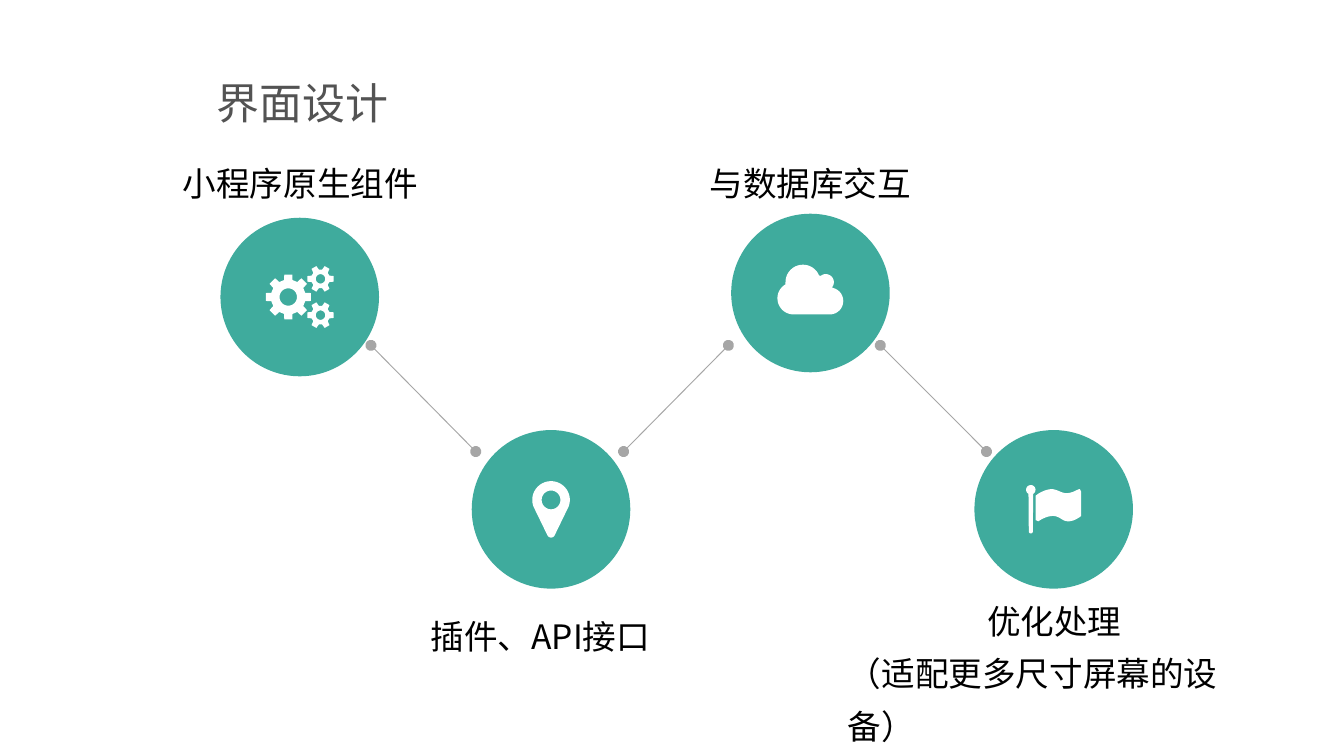
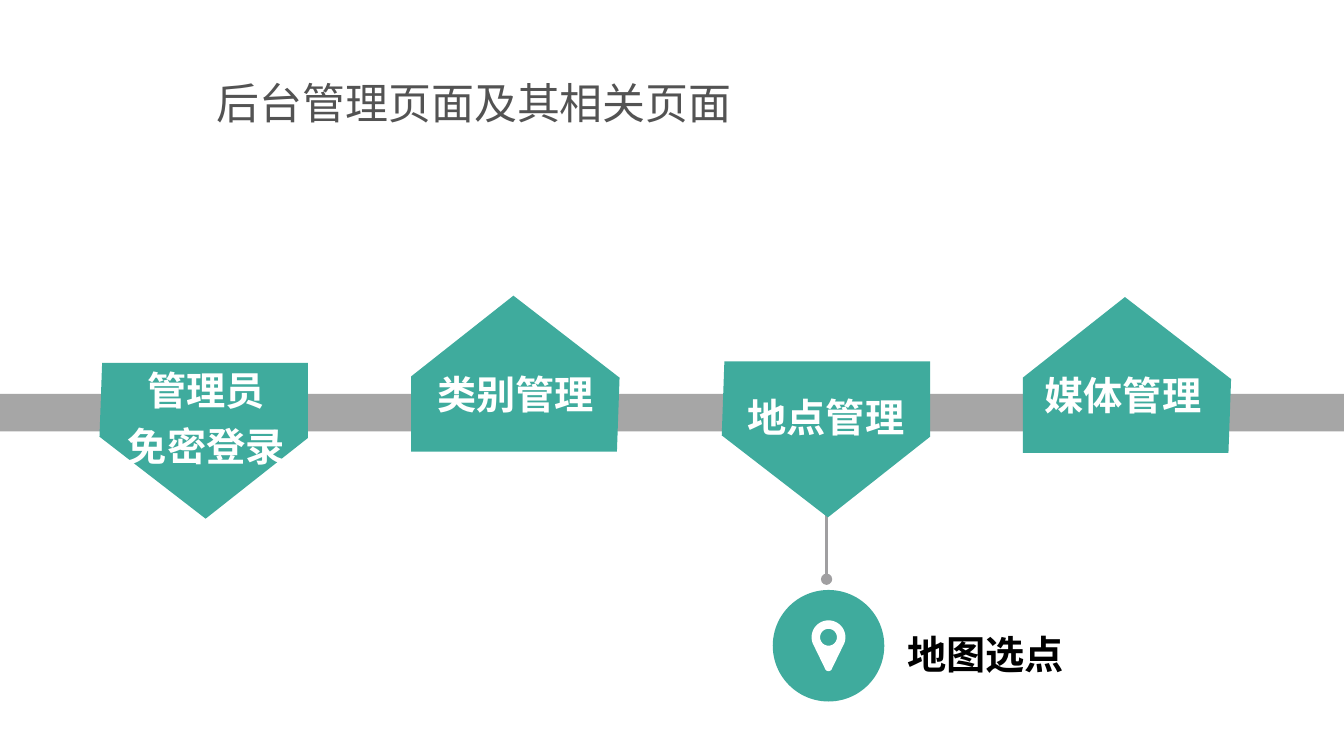
"""Builds two slides: interface design steps and admin page overview."""
import math
from dataclasses import dataclass

import lxml.etree
import pptx
import pptx.dml.color
import pptx.enum.shapes
import pptx.enum.text
import pptx.oxml.ns
import pptx.util

EMU_PER_PX = 9144
SHAPE = pptx.enum.shapes.MSO_SHAPE
ALIGN = pptx.enum.text.PP_ALIGN
ANCHOR = pptx.enum.text.MSO_ANCHOR


@dataclass(frozen=True)
class Theme:
    accent: str = "3FAB9D"
    white: str = "FFFFFF"
    black: str = "000000"
    title: str = "535353"
    grey: str = "A6A6A6"
    stem: str = "A09FA1"
    font: str = "Noto Sans CJK SC"
    label_font: str = "Arial"
    title_size: int = 23
    label_size: int = 21
    caption_size: int = 18


def emu(px):
    return round(px * EMU_PER_PX)


def rgb(color):
    return pptx.dml.color.RGBColor.from_string(color)


def polar(cx, cy, radius, degrees):
    angle = math.radians(degrees)
    return cx + radius * math.cos(angle), cy + radius * math.sin(angle)


def arc(cx, cy, radius, start, end, steps=24):
    return [polar(cx, cy, radius, start + (end - start) * i / steps) for i in range(steps + 1)]


def curve(start, *segments, steps=8):
    points = [start]
    for first, second, end in segments:
        corners = (points[-1], first, second, end)
        for i in range(1, steps + 1):
            t = i / steps
            weights = ((1 - t) ** 3, 3 * t * (1 - t) ** 2, 3 * t * t * (1 - t), t ** 3)
            points.append(tuple(sum(w * c[axis] for w, c in zip(weights, corners)) for axis in (0, 1)))
    return points


def gear(cx, cy, outer, root, hole, teeth, tip, foot):
    profile = ((root, -foot), (outer, -tip), (outer, tip), (root, foot))
    outline = [polar(cx, cy, radius, 360 * tooth / teeth + turn)
               for tooth in range(teeth) for radius, turn in profile]
    return [outline, arc(cx, cy, hole, 360, 0)]


GEARS = ((51, 47), gear(17, 23.5, 17, 13, 6.5, 8, 10, 14)
         + gear(41, 10, 10, 7, 3.5, 6, 12, 20)
         + gear(41, 37, 10, 7, 3.5, 6, 12, 20))
PIN = ((28, 42), [arc(14, 14, 14, 160, 380) + arc(14, 39, 3, 20, 160),
                  arc(14, 14, 7, 360, 0)])
CLOUD = ((49, 42), [arc(12, 25, 12, 90, 240) + arc(19, 13, 13, 180, 337)
                    + arc(36, 13, 6, 230, 400) + arc(39, 27, 10, 285, 450)])
FLAG = ((41, 36), [
    arc(3.5, 3.5, 3.5, 120, 420) + arc(3.5, 34.5, 1.5, 0, 180),
    curve((7, 8), ((9, 6), (15, 3), (19, 3)), ((23, 3), (26, 6), (30, 6)),
          ((35, 6), (38, 3), (40, 3))) + [(41, 5)]
    + curve((41, 23), ((37, 26), (34, 27), (31, 27)), ((27, 27), (25, 23), (20, 23)),
            ((16, 23), (12, 25), (9, 27))) + [(7, 26)],
])
PENTAGON = [(2, 0), (155, 0), (155, 56), (79, 116), (0, 55)]


class Page:
    """Draws styled elements on the current slide."""

    def __init__(self, deck, theme):
        self.deck = deck
        self.theme = theme
        self.slide = None

    def start(self, title, width):
        self.slide = self.deck.slides.add_slide(self.deck.slide_layouts[6])
        theme = self.theme
        self.text((154, 53, width, 46), [title], theme.title_size, theme.title,
                  align=ALIGN.LEFT, spacing=1.0, wrap=False, insets=(7, 4))

    def paint(self, shape, color):
        shape.shadow.inherit = False
        shape.fill.solid()
        shape.fill.fore_color.rgb = rgb(color)
        shape.line.fill.background()
        return shape

    def shape(self, kind, box, color):
        return self.paint(self.slide.shapes.add_shape(kind, *map(emu, box)), color)

    def outline(self, left, top, contours, color, scale=1):
        placed = [[(emu(left + x * scale), emu(top + y * scale)) for x, y in contour]
                  for contour in contours]
        builder = self.slide.shapes.build_freeform(*placed[0][0], scale=1.0)
        for index, contour in enumerate(placed):
            if index:
                builder.move_to(*contour[0])
            builder.add_line_segments(contour[1:], close=True)
        return self.paint(builder.convert_to_shape(), color)

    def badge(self, left, top, diameter, icon, scale=1):
        self.shape(SHAPE.OVAL, (left, top, diameter, diameter), self.theme.accent)
        (width, height), contours = icon
        self.outline(left + (diameter - width * scale) / 2, top + (diameter - height * scale) / 2,
                     contours, self.theme.white, scale)

    def line(self, start, end, color, weight, dots):
        line = self.slide.shapes.add_connector(
            pptx.enum.shapes.MSO_CONNECTOR.STRAIGHT, *map(emu, start + end))
        line.line.color.rgb = rgb(color)
        line.line.width = pptx.util.Pt(weight)
        properties = line._element.spPr
        stroke = properties.find(pptx.oxml.ns.qn("a:ln"))
        for dot in dots:
            lxml.etree.SubElement(stroke, pptx.oxml.ns.qn("a:" + dot), type="oval")
        lxml.etree.SubElement(properties, pptx.oxml.ns.qn("a:effectLst"))

    def text(self, box, lines, size, color, font=None, bold=False, align=ALIGN.CENTER,
             spacing=1.2, wrap=True, insets=(0, 0), anchor=ANCHOR.TOP):
        frame = self.slide.shapes.add_textbox(*map(emu, box)).text_frame
        frame.word_wrap = wrap
        frame.auto_size = pptx.enum.text.MSO_AUTO_SIZE.SHAPE_TO_FIT_TEXT
        frame.vertical_anchor = anchor
        frame.margin_left = frame.margin_right = emu(insets[0])
        frame.margin_top = frame.margin_bottom = emu(insets[1])
        frame.text = "\n".join(lines)
        aligns = align if isinstance(align, tuple) else (align,) * len(lines)
        for para, side in zip(frame.paragraphs, aligns):
            para.alignment = side
            para.line_spacing = spacing
            para.font.size = pptx.util.Pt(size)
            para.font.bold = bold
            para.font.color.rgb = rgb(color)
            para.font.name = font or self.theme.font
            default = para._p.pPr.find(pptx.oxml.ns.qn("a:defRPr"))
            lxml.etree.SubElement(default, pptx.oxml.ns.qn("a:ea"), typeface=self.theme.font)

    def caption(self, box, lines, align=ALIGN.CENTER):
        self.text(box, lines, self.theme.caption_size, self.theme.black, align=align, spacing=1.3)

    def label(self, box, lines, color, align=ALIGN.CENTER, anchor=ANCHOR.MIDDLE):
        self.text(box, lines, self.theme.label_size, color, self.theme.label_font, True,
                  align, wrap=False, anchor=anchor)

    def pentagon(self, left, top, upward):
        shape = self.outline(left, top, [PENTAGON], self.theme.accent)
        shape.rotation = 180 if upward else 0


def interface_design(page):
    page.start("界面设计", 143)
    for left, top, icon in ((351, 320, PIN), (544, 159, CLOUD), (725, 320, FLAG), (164, 162, GEARS)):
        page.badge(left, top, 118, icon)
    high, low = 257, 336
    for start, end in (((464, low), (542, high)), ((655, high), (734, low)), ((276, high), (354, low))):
        page.line(start, end, page.theme.grey, 0.5, ("headEnd", "tailEnd"))
    page.caption((131, 112, 185, 36), ["小程序原生组件"])
    page.caption((520, 112, 166, 36), ["与数据库交互"])
    page.caption((631, 438, 307, 75), ["优化处理", "（适配更多尺寸屏幕的设备）"],
                 (ALIGN.CENTER, ALIGN.LEFT))
    page.caption((319, 449, 166, 36), ["插件、API接口"])


def admin_pages(page):
    theme = page.theme
    page.start("后台管理页面及其相关页面", 401)
    page.shape(SHAPE.RECTANGLE, (-2, 293, 1003, 28), theme.grey)
    page.line((615, 379), (615, 431), theme.stem, 2, ("tailEnd",))
    stops = (
        (306, 220, True, (323, 270, 121, 39), ["类别管理"]),
        (537, 269, False, (554, 287, 121, 39), ["地点管理"]),
        (74, 270, False, (93, 267, 121, 81), ["管理员", "免密登录"]),
        (761, 221, True, (775, 271, 121, 39), ["媒体管理"]),
    )
    for left, top, upward, box, lines in stops:
        page.pentagon(left, top, upward)
        page.label(box, lines, theme.white)
    page.badge(575, 439, 83, PIN, 0.9)
    page.label((675, 462, 121, 39), ["地图选点"], theme.black, ALIGN.LEFT, ANCHOR.TOP)


def main():
    deck = pptx.Presentation()
    deck.slide_width = emu(1000)
    deck.slide_height = deck.slide_width * 9 // 16
    page = Page(deck, Theme())
    interface_design(page)
    admin_pages(page)
    deck.save("out.pptx")


if __name__ == "__main__":
    main()
